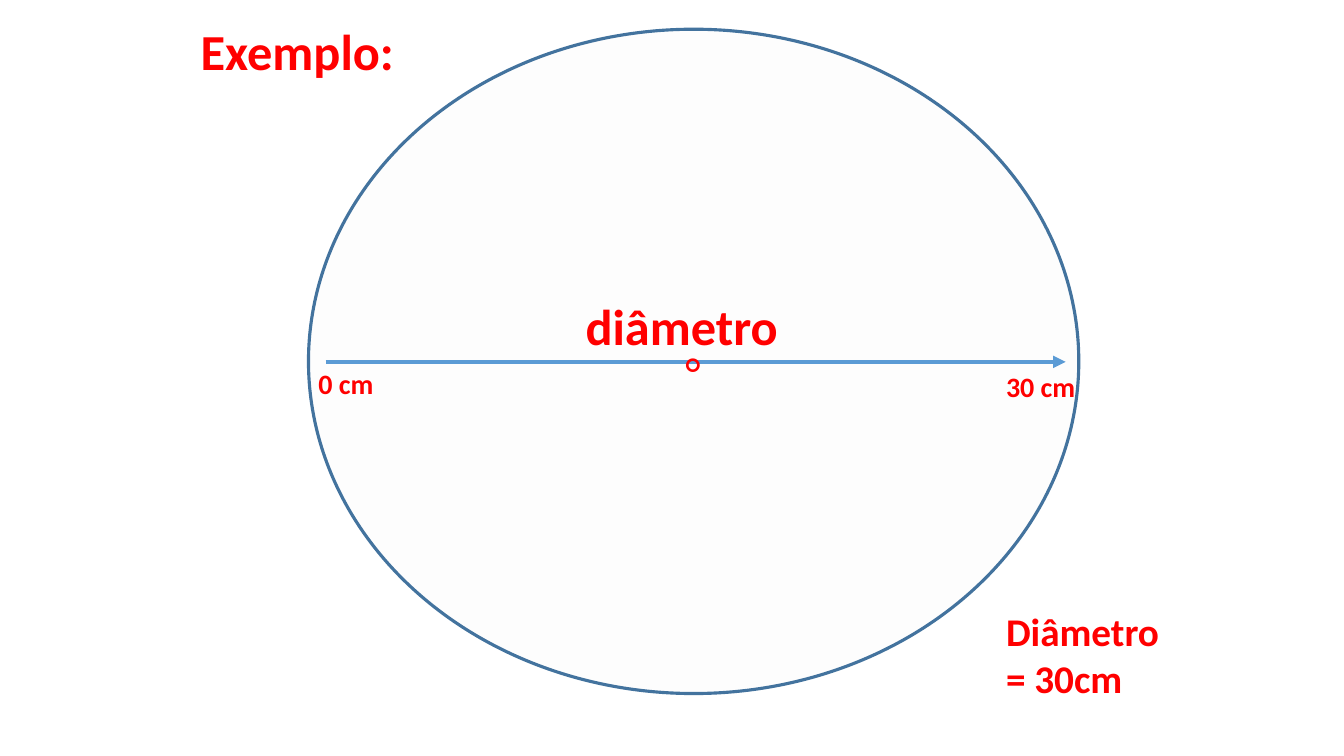
from dataclasses import dataclass

from lxml import etree
from pptx import Presentation
from pptx.dml.color import RGBColor
from pptx.enum.shapes import MSO_CONNECTOR, MSO_SHAPE
from pptx.enum.text import MSO_ANCHOR, MSO_AUTO_SIZE, PP_ALIGN
from pptx.oxml.ns import qn
from pptx.util import Inches, Pt

STRAIGHT = MSO_CONNECTOR.STRAIGHT
ELLIPSE = MSO_SHAPE.OVAL
TOP = MSO_ANCHOR.TOP
NO_FIT = MSO_AUTO_SIZE.NONE
LEFT = PP_ALIGN.LEFT
TITLE_ONLY = 5


@dataclass(frozen=True)
class Theme:
    font: str = "Calibri"
    text: RGBColor = RGBColor(0xFF, 0x00, 0x00)
    circle_fill: RGBColor = RGBColor(0xFD, 0xFD, 0xFD)
    circle_line: RGBColor = RGBColor(0x43, 0x73, 0x9E)
    arrow: RGBColor = RGBColor(0x5B, 0x9B, 0xD5)
    heading: int = 36
    center_mark: int = 32
    result: int = 28
    scale: int = 20
    outline: float = 2.25
    arrow_width: float = 3


class SlideBuilder:
    def __init__(self, slide, theme):
        self.slide = slide
        self.theme = theme

    def fill_text(self, frame, lines, size, bold=True):
        frame.word_wrap = True
        frame.auto_size = NO_FIT
        frame.vertical_anchor = TOP
        for index, line in enumerate(lines):
            paragraph = frame.add_paragraph() if index else frame.paragraphs[0]
            paragraph.alignment = LEFT
            run = paragraph.add_run()
            run.text = line
            run.font.name = self.theme.font
            run.font.size = Pt(size)
            run.font.bold = bold
            run.font.color.rgb = self.theme.text

    def title(self, text, left, top, width, height):
        heading = self.slide.shapes.title
        heading.left, heading.top = Inches(left), Inches(top)
        heading.width, heading.height = Inches(width), Inches(height)
        self.fill_text(heading.text_frame, [text], self.theme.heading)

    def label(self, lines, left, top, width, height, size, bold=True):
        box = self.slide.shapes.add_textbox(
            Inches(left), Inches(top), Inches(width), Inches(height))
        self.fill_text(box.text_frame, lines, size, bold)

    def circle(self, left, top, width, height):
        outline = self.slide.shapes.add_shape(
            ELLIPSE, Inches(left), Inches(top), Inches(width), Inches(height))
        outline.shadow.inherit = False
        outline.fill.solid()
        outline.fill.fore_color.rgb = self.theme.circle_fill
        outline.line.color.rgb = self.theme.circle_line
        outline.line.width = Pt(self.theme.outline)

    def arrow(self, start, end, y):
        diameter = self.slide.shapes.add_connector(
            STRAIGHT, Inches(start), Inches(y), Inches(end), Inches(y))
        diameter.line.color.rgb = self.theme.arrow
        diameter.line.width = Pt(self.theme.arrow_width)
        properties = diameter._element.spPr
        etree.SubElement(properties.find(qn("a:ln")), qn("a:tailEnd"), type="triangle")
        etree.SubElement(properties, qn("a:effectLst"))


def main():
    presentation = Presentation()
    presentation.slide_width = Inches(13.33)
    presentation.slide_height = Inches(7.5)
    slide = presentation.slides.add_slide(presentation.slide_layouts[TITLE_ONLY])
    theme = Theme()
    builder = SlideBuilder(slide, theme)
    label_width = 2.33
    diameter_y = 3.59
    right_column = 9.88

    # Heading
    builder.title("Exemplo:", 1.89, 0.15, label_width, 0.71)

    # Circle with its diameter and center
    builder.circle(3.06, 0.29, 7.64, 6.59)
    builder.arrow(3.23, 10.57, diameter_y)
    builder.label(["°"], 6.7, 3.37, 0.83, 0.64, theme.center_mark, bold=False)
    builder.label(["diâmetro"], 5.71, 2.88, label_width, 0.71, theme.heading)

    # Scale at both ends of the diameter
    builder.label(["0 cm"], 3.06, diameter_y, label_width, 0.44, theme.scale)
    builder.label(["30 cm"], right_column, 3.62, label_width, 0.44, theme.scale)

    # Result
    builder.label(["Diâmetro", "= 30cm"], right_column, 5.98, label_width, 1.04,
                  theme.result)

    presentation.save("out.pptx")


if __name__ == "__main__":
    main()
